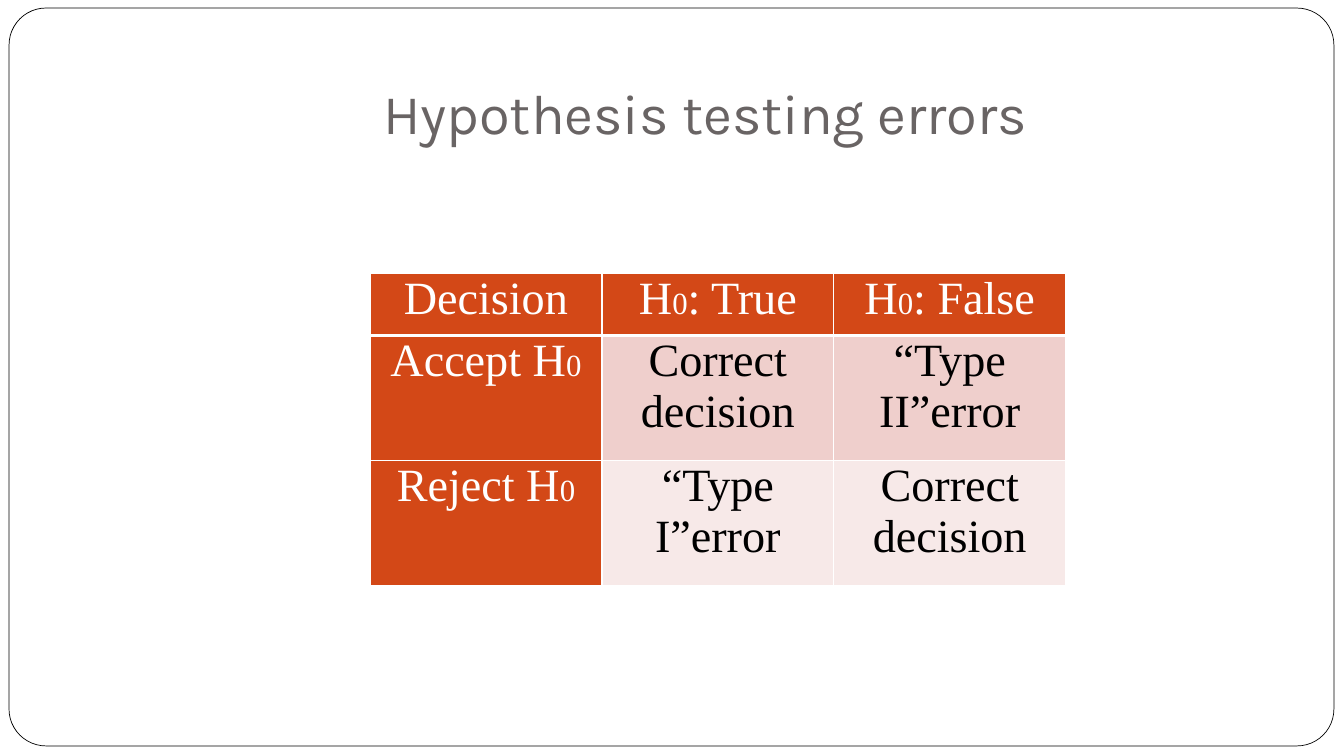
from lxml import etree
from pptx import Presentation
from pptx.dml.color import RGBColor
from pptx.enum import shapes, text
from pptx.oxml import ns
from pptx.util import Inches, Pt

COLORS = {
    "white": "FFFFFF",
    "black": "000000",
    "title": "696464",
    "header": "D34817",
    "accept": "EFCFCC",
    "reject": "F7E9E8",
}
ROWS = [
    ["Decision", "H0: True", "H0: False"],
    ["Accept H0", "Correct decision", "“Type II”error"],
    ["Reject H0", "“Type I”error", "Correct decision"],
]
ROW_FILLS = ["header", "accept", "reject"]
ROW_HEIGHTS = [0.62, 1.24, 1.24]


def color(name):
    return RGBColor.from_string(COLORS[name])


def add_borders(cell, bottom_width):
    """Draw white cell borders, 1 pt wide except for the bottom one."""
    properties = cell._tc.get_or_add_tcPr()
    for side, width in (("L", 1), ("R", 1), ("T", 1), ("B", bottom_width)):
        line = etree.SubElement(properties, ns.qn(f"a:ln{side}"), w=str(Pt(width)))
        fill = etree.SubElement(line, ns.qn("a:solidFill"))
        etree.SubElement(fill, ns.qn("a:srgbClr"), val=COLORS["white"])


deck = Presentation()
deck.slide_width = Inches(13.33)
deck.slide_height = Inches(7.5)
page = deck.slides.add_slide(deck.slide_layouts[6])

# Rounded page frame
frame = page.shapes.add_shape(
    shapes.MSO_SHAPE.ROUNDED_RECTANGLE,
    Inches(0.09), Inches(0.08), Inches(13.14), Inches(7.32))
frame.adjustments[0] = 0.05
frame.shadow.inherit = False
frame.fill.solid()
frame.fill.fore_color.rgb = color("white")
frame.line.color.rgb = color("black")
frame.line.width = Pt(0.5)

# Title
title = page.shapes.add_textbox(Inches(1.33), Inches(0.3), Inches(11.33), Inches(1.25))
title_frame = title.text_frame
title_frame.word_wrap = True
title_frame.vertical_anchor = text.MSO_ANCHOR.BOTTOM
title_frame.margin_bottom = Inches(0.1)
title_frame.text = "Hypothesis testing errors"
para = title_frame.paragraphs[0]
para.alignment = text.PP_ALIGN.CENTER
para.font.name = "Karla"
para.font.size = Pt(40)
para.font.color.rgb = color("title")

# Decision table
table = page.shapes.add_table(
    3, 3, Inches(3.67), Inches(2.71), Inches(6.9), Inches(sum(ROW_HEIGHTS))).table
table.first_col = True
for column in table.columns:
    column.width = Inches(2.3)

for row, labels in enumerate(ROWS):
    table.rows[row].height = Inches(ROW_HEIGHTS[row])
    for col, label in enumerate(labels):
        is_header = row == 0 or col == 0
        cell = table.cell(row, col)
        add_borders(cell, 3 if row == 0 else 1)
        cell.fill.solid()
        cell.fill.fore_color.rgb = color("header" if is_header else ROW_FILLS[row])
        cell.margin_left = cell.margin_right = Inches(0.07)
        cell.margin_top = cell.margin_bottom = 0
        para = cell.text_frame.paragraphs[0]
        para.alignment = text.PP_ALIGN.CENTER
        before, zero, after = label.partition("0")
        for part in filter(None, (before, zero, after)):
            span = para.add_run()
            span.text = part
            span.font.name = "Times New Roman"
            span.font.size = Pt(22 if part == "0" else 33)
            span.font.bold = False
            span.font.color.rgb = color("white" if is_header else "black")

deck.save("out.pptx")
